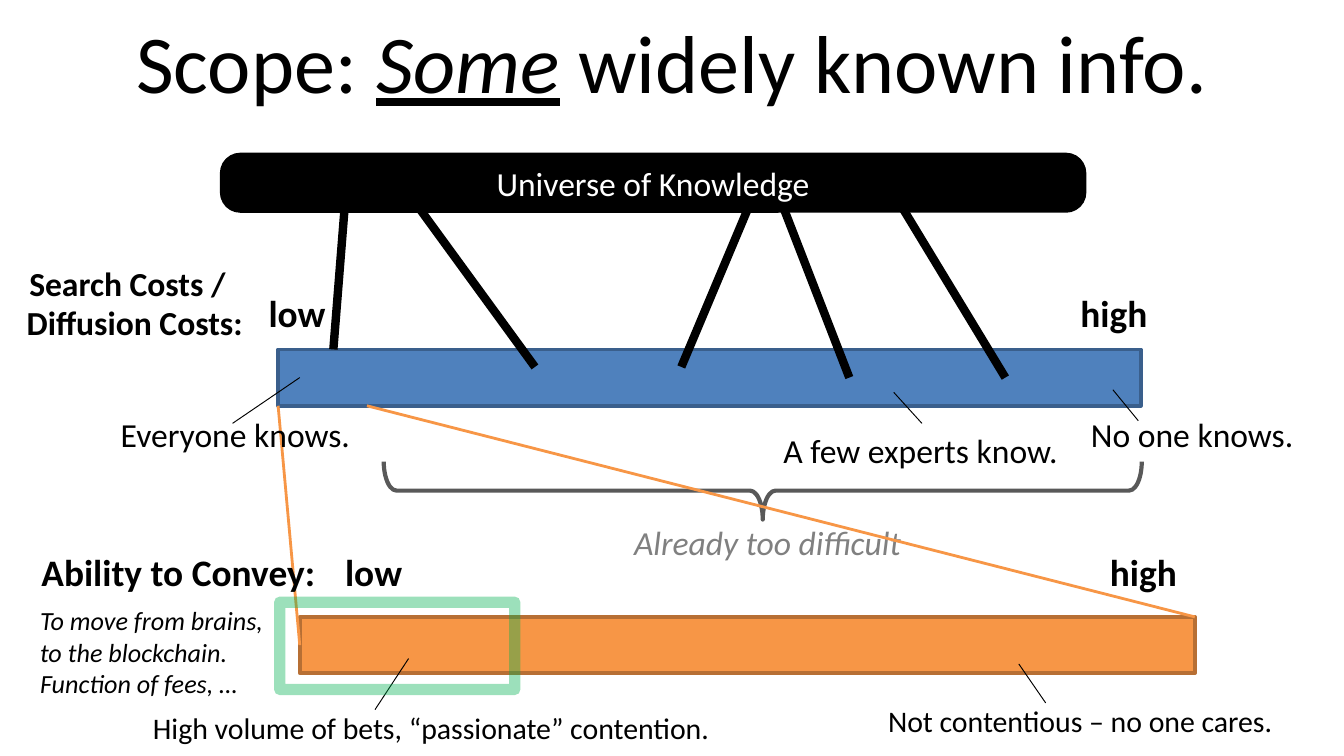
from lxml.etree import SubElement
from pptx import Presentation
from pptx.dml.color import RGBColor
from pptx.enum.shapes import MSO_CONNECTOR, MSO_SHAPE
from pptx.enum.text import MSO_ANCHOR, PP_ALIGN
from pptx.oxml.ns import qn
from pptx.util import Pt

BLACK = RGBColor(0, 0, 0)
WHITE = RGBColor(255, 255, 255)
BLUE = RGBColor(0x4F, 0x81, 0xBD)
NAVY = RGBColor(0x3A, 0x5F, 0x8C)
ORANGE = RGBColor(0xF7, 0x96, 0x46)
BROWN = RGBColor(0xB7, 0x6F, 0x34)
GREEN = RGBColor(0, 0xB0, 0x50)
GRAY = RGBColor(0x80, 0x80, 0x80)
DARK = RGBColor(0x59, 0x59, 0x59)
FONT = "Calibri"

# Content: title runs as text, italic, underline
TITLE = [("Scope: ", False, False), ("Some", True, True),
         (" ", True, False), ("widely known info.", False, False)]

# Lines: x1, y1, x2, y2
SPOKES = [(406.8, 97.2, 365, 196.6), (185, 106.6, 178.6, 187.2),
          (221, 106.6, 286.6, 196.6), (419, 109.4, 455, 202.3),
          (478.8, 103.7, 538.6, 202.3)]
LEADERS = [(160.6, 202.3, 124.6, 226.8), (478.8, 210.2, 493.9, 226.8),
           (596.2, 208.8, 609.8, 225.4), (218.9, 352.8, 200.9, 380.2),
           (545.8, 355.7, 560.2, 376.6)]
ZOOM = [(149, 217.4, 160.6, 345.6), (196.6, 217.4, 640.1, 330.5)]

# Labels: text, left, top, width, size, style
LABELS = [
    ("Search Costs /", 8.6, 137.5, 121, 18, "bold"),
    ("Diffusion Costs:", 7.2, 158.4, 131, 18, "bold"),
    ("low", 136.8, 151.9, 45.4, 20, "bold"),
    ("high", 571.7, 151.9, 51.1, 20, "bold"),
    ("Everyone knows.", 57.6, 218.2, 139, 18, ""),
    ("A few experts know.", 412.6, 226.8, 162.7, 18, ""),
    ("No one knows.", 577.4, 218.2, 124.6, 18, ""),
    ("Ability to Convey:", 15.1, 290.9, 162.7, 20, "bold"),
    ("low", 177.8, 290.9, 45.4, 20, "bold"),
    ("high", 587.5, 290.9, 51.1, 20, "bold"),
    ("High volume of bets, “passionate” contention.",
     74.9, 376.6, 316.8, 16, ""),
    ("Not contentious – no one cares.", 468.7, 373, 223.2, 16, ""),
]
HARD = ("Already too difficult", 332.6, 275.8, 160.6, 18, "italic")
NOTE = ("To move from brains, to the blockchain.\nFunction of fees, …",
        14.4, 320.4, 134.6, 14, "italic")

deck = Presentation()
deck.slide_width, deck.slide_height = Pt(720), Pt(405)
slide = deck.slides.add_slide(deck.slide_layouts[5])
shapes = slide.shapes


def style(run, size, color=BLACK, bold=False, italic=False):
    font = run.font
    font.name, font.size = FONT, Pt(size)
    font.bold, font.italic = bold, italic
    font.color.rgb = color


def block(kind, box, fill, edge, width):
    shape = shapes.add_shape(kind, *map(Pt, box))
    shape.shadow.inherit = False
    if fill is None:
        shape.fill.background()
    else:
        shape.fill.solid()
        shape.fill.fore_color.rgb = fill
    shape.line.color.rgb = edge
    shape.line.width = Pt(width)
    return shape


def join(lines, color, width):
    for ends in lines:
        line = shapes.add_connector(MSO_CONNECTOR.STRAIGHT, *map(Pt, ends))
        line.line.color.rgb = color
        line.line.width = Pt(width)
        SubElement(line._element.spPr, qn("a:effectLst"))


def label(text, left, top, width, size, look, color=BLACK, wrap=False):
    rows = text.count("\n") + 1 + wrap
    high = 7.2 + rows * size * 1.22
    box = shapes.add_textbox(Pt(left), Pt(top), Pt(width), Pt(high))
    frame = box.text_frame
    frame.text = text
    frame.word_wrap = wrap
    for para in frame.paragraphs:
        for run in para.runs:
            style(run, size, color, look == "bold", look == "italic")


# Title
title = shapes.title
title.left, title.top, title.width, title.height = map(
    Pt, (36, -1.4, 648, 67.7))
title.text_frame.vertical_anchor = MSO_ANCHOR.MIDDLE
para = title.text_frame.paragraphs[0]
para.alignment = PP_ALIGN.CENTER
for text, slant, under in TITLE:
    run = para.add_run()
    run.text = text
    style(run, 44, italic=slant)
    run.font.underline = under

# Bars, with the spokes behind the top one
block(MSO_SHAPE.RECTANGLE, (149, 187.2, 462.2, 30.2), BLUE, NAVY, 2)
block(MSO_SHAPE.RECTANGLE, (160.6, 330.5, 479.5, 30.2), ORANGE, BROWN, 2)
join(SPOKES, BLACK, 4.5)
top = block(MSO_SHAPE.ROUNDED_RECTANGLE, (118.8, 82.8, 462.2, 30.2),
            BLACK, BLACK, 2)
top.adjustments[0] = 0.33
top.text_frame.text = "Universe of Knowledge"
top.text_frame.vertical_anchor = MSO_ANCHOR.MIDDLE
para = top.text_frame.paragraphs[0]
para.alignment = PP_ALIGN.CENTER
style(para.runs[0], 18, WHITE)

# Brace over the part that is too hard
brace = block(MSO_SHAPE.RIGHT_BRACE, (393.1, 59.8, 31, 406.1),
              None, DARK, 2.25)
brace.rotation = 90
brace.adjustments[0] = 0.22
label(*HARD, color=GRAY)

# Zoom lines, leaders and labels
join(ZOOM, ORANGE, 1.5)
join(LEADERS, BLACK, 0.5)
for item in LABELS:
    label(*item)
label(*NOTE, wrap=True)

# See-through frame around the low end
frame = block(MSO_SHAPE.RECTANGLE, (149.8, 322.6, 126, 46.8), None, GREEN, 6)
tint = frame.line._ln.find(".//" + qn("a:srgbClr"))
SubElement(tint, qn("a:alpha"), val="39000")
SubElement(frame.line._ln, qn("a:round"))

deck.save("out.pptx")
